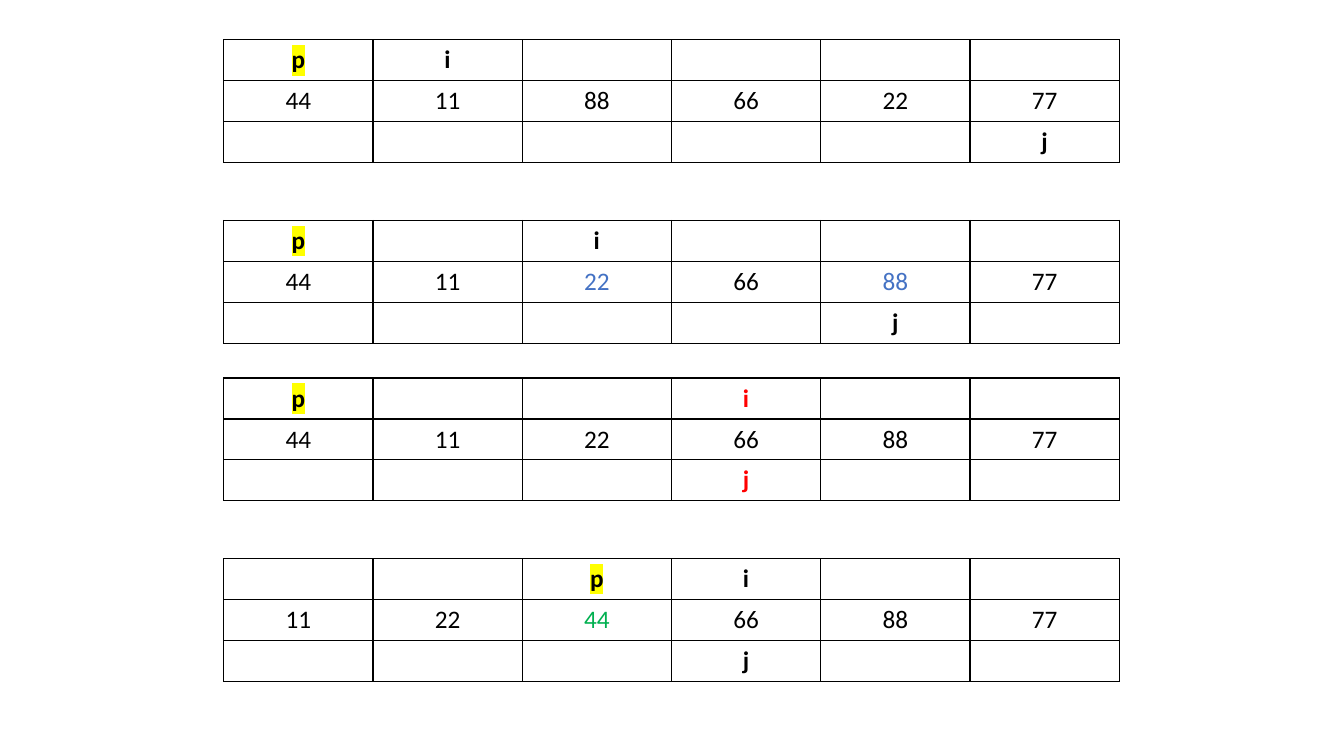
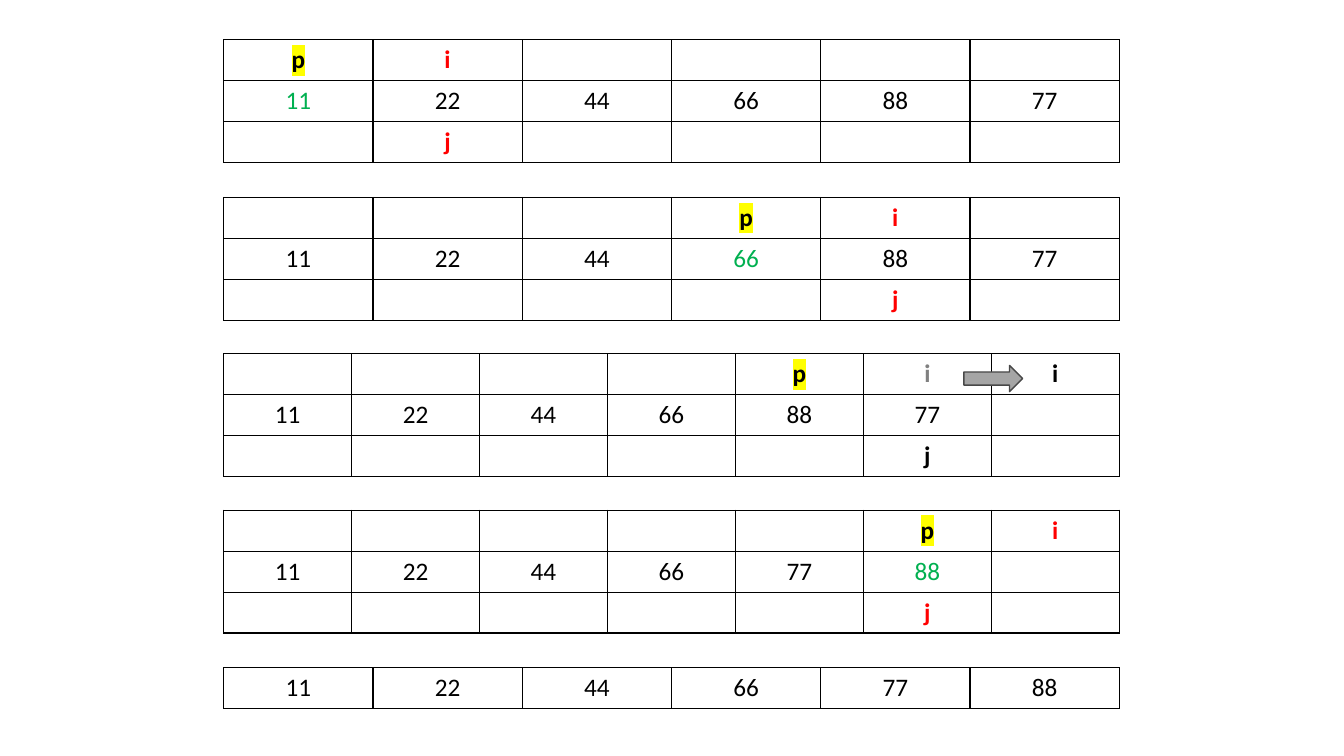
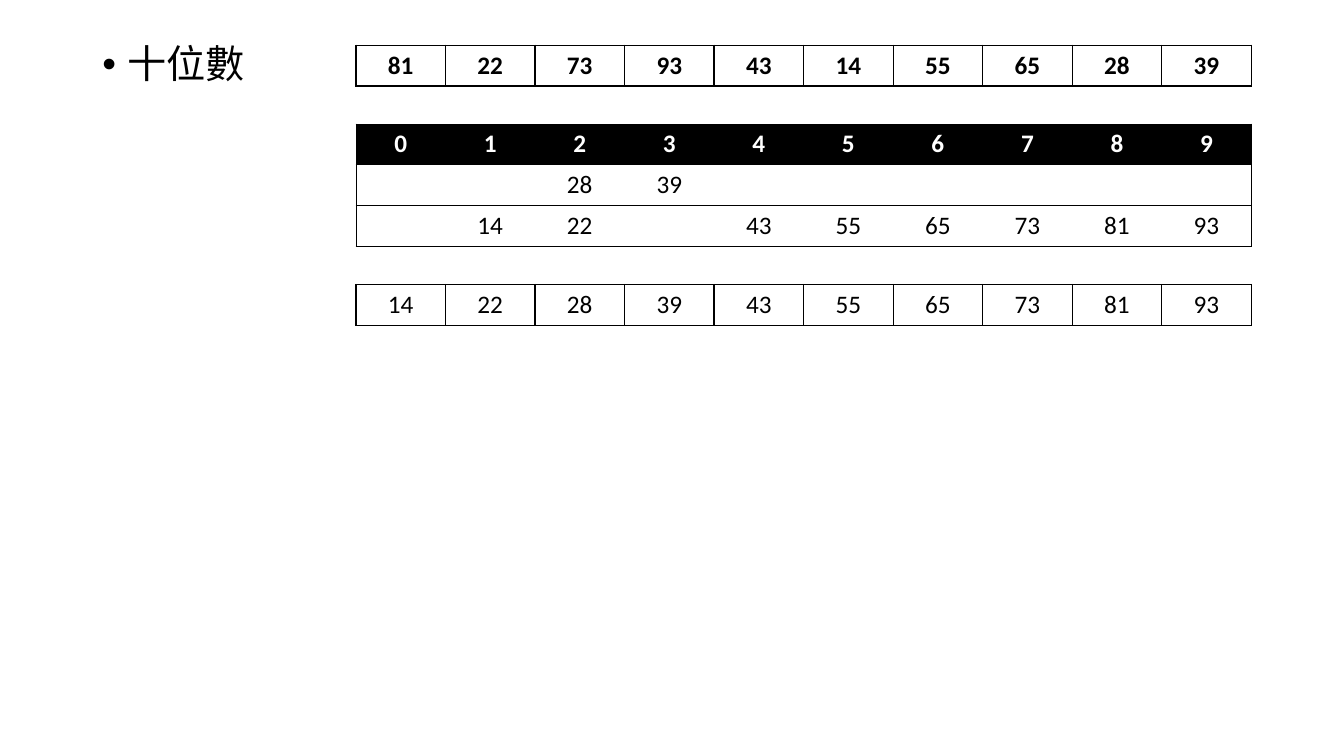
from dataclasses import dataclass, field
from typing import Optional

from lxml import etree
from pptx import Presentation
from pptx import util as u
from pptx.dml.color import RGBColor
from pptx.enum import shapes, text
from pptx.oxml import ns


def px(n: float) -> int:
    """Convert pixels (96 to the inch) to EMU."""
    return round(n * 9525)


@dataclass(frozen=True)
class Theme:
    font: str = "Calibri"
    body_pt: int = 28
    cell_pt: int = 18
    black: str = "000000"
    white: str = "FFFFFF"
    swapped: str = "4472C4"
    placed: str = "00B050"
    met: str = "FF0000"
    faded: str = "808080"
    highlight: str = "FFFF00"
    arrow_fill: str = "A5A5A5"
    arrow_line: str = "484848"


THEME = Theme()
SLIDE_W, SLIDE_H = 1280, 720
TABLE_W, ROW_H = 853, 39
TRACE_LEFT, RADIX_LEFT = 213, 339


@dataclass(frozen=True)
class Cell:
    text: str = ""
    color: str = THEME.black
    bold: bool = False
    highlight: Optional[str] = None
    fill: Optional[str] = None


@dataclass(frozen=True)
class Step:
    """One state of quicksort: array, pivot column and the two scan columns."""
    values: str
    pivot: int
    i: int
    j: int
    mark: str = THEME.black
    tints: dict[int, str] = field(default_factory=dict)
    columns: int = 6
    old_i: Optional[int] = None


Grid = list[list[Cell]]


def number_row(values: str, bold: bool = False) -> list[Cell]:
    return [Cell(v, bold=bold) for v in values.split()]


def step_grid(step: Step) -> Grid:
    """Build the marker row, the array row and the lower marker row."""
    top, middle, bottom = ([Cell()] * step.columns for _ in range(3))
    top[step.pivot] = Cell("p", bold=True, highlight=THEME.highlight)
    top[step.i] = Cell("i", step.mark, bold=True)
    if step.old_i is not None:
        top[step.old_i] = Cell("i", THEME.faded, bold=True)
    for col, value in enumerate(step.values.split()):
        middle[col] = Cell(value, step.tints.get(col, THEME.black))
    bottom[step.j] = Cell("j", step.mark, bold=True)
    return [top, middle, bottom]


def add_border(tc_pr, side: str, width_pt: float, visible: bool) -> None:
    ln = etree.SubElement(tc_pr, ns.qn(f"a:ln{side}"), w=str(u.Pt(width_pt)))
    if visible:
        fill = etree.SubElement(ln, ns.qn("a:solidFill"))
        etree.SubElement(fill, ns.qn("a:srgbClr"), val=THEME.black)
    else:
        etree.SubElement(ln, ns.qn("a:noFill"))


def write_cell(target, cell: Cell) -> None:
    target.vertical_anchor = text.MSO_ANCHOR.MIDDLE
    if cell.fill:
        target.fill.solid()
        target.fill.fore_color.rgb = RGBColor.from_string(cell.fill)
    else:
        target.fill.background()
    p = target.text_frame.paragraphs[0]
    p.alignment = text.PP_ALIGN.CENTER
    p.font.size = u.Pt(THEME.cell_pt)
    p.font.name = THEME.font
    if not cell.text:
        return
    r = p.add_run()
    r.text = cell.text
    r.font.bold = cell.bold
    r.font.color.rgb = RGBColor.from_string(cell.color)
    if cell.highlight:
        mark = etree.SubElement(r.font._element, ns.qn("a:highlight"))
        etree.SubElement(mark, ns.qn("a:srgbClr"), val=cell.highlight)


def add_grid(slide, left: int, top: int, grid: Grid,
             line_pt: float = 1, inner_verticals: bool = True) -> None:
    rows, cols = len(grid), len(grid[0])
    table = slide.shapes.add_table(rows, cols, px(left), px(top),
                                   px(TABLE_W), px(rows * ROW_H)).table
    table.first_row = table.horz_banding = False
    for column in table.columns:
        column.width = px(TABLE_W / cols)
    for row in table.rows:
        row.height = px(ROW_H)
    for y, line in enumerate(grid):
        for x, cell in enumerate(line):
            target = table.cell(y, x)
            tc_pr = target._tc.get_or_add_tcPr()
            add_border(tc_pr, "L", line_pt, inner_verticals or x == 0)
            add_border(tc_pr, "R", line_pt, inner_verticals or x == cols - 1)
            add_border(tc_pr, "T", line_pt, True)
            add_border(tc_pr, "B", line_pt, True)
            write_cell(target, cell)


def add_move_arrow(slide) -> None:
    sp = slide.shapes.add_shape(shapes.MSO_SHAPE.RIGHT_ARROW,
                                px(918), px(348), px(56), px(25))
    sp.shadow.inherit = False
    sp.fill.solid()
    sp.fill.fore_color.rgb = RGBColor.from_string(THEME.arrow_fill)
    sp.line.color.rgb = RGBColor.from_string(THEME.arrow_line)
    sp.line.width = u.Pt(1)


def add_bullet(slide, words: str) -> None:
    title, body = slide.shapes.title, slide.placeholders[1]
    title._element.getparent().remove(title._element)
    body.left, body.top = px(88), px(38)
    body.width, body.height = px(1104), px(610)
    p = body.text_frame.paragraphs[0]
    p.line_spacing = 0.9
    p.space_before = u.Pt(10)
    p_pr = p._p.get_or_add_pPr()
    p_pr.set("marL", str(px(24)))
    p_pr.set("indent", str(-px(24)))
    r = p.add_run()
    r.text = words
    r.font.size = u.Pt(THEME.body_pt)
    r.font.name = THEME.font
    r.font.color.rgb = RGBColor.from_string(THEME.black)


FIRST_PASS = {
    38: Step("44 11 88 66 22 77", pivot=0, i=1, j=5),
    210: Step("44 11 22 66 88 77", pivot=0, i=2, j=4,
              tints={2: THEME.swapped, 4: THEME.swapped}),
    360: Step("44 11 22 66 88 77", pivot=0, i=3, j=3, mark=THEME.met),
    532: Step("11 22 44 66 88 77", pivot=2, i=3, j=3,
              tints={2: THEME.placed}),
}
LATER_PASSES = [
    Step("11 22 44 66 88 77", pivot=0, i=1, j=1, mark=THEME.met,
         tints={0: THEME.placed}),
    Step("11 22 44 66 88 77", pivot=3, i=4, j=4, mark=THEME.met,
         tints={3: THEME.placed}),
    Step("11 22 44 66 88 77", pivot=4, i=6, j=5, columns=7, old_i=5),
    Step("11 22 44 66 77 88", pivot=5, i=6, j=5, mark=THEME.met,
         tints={5: THEME.placed}, columns=7),
]
BUCKETS = [{2: "28", 3: "39"},
           {1: "14", 2: "22", 4: "43", 5: "55", 6: "65",
            7: "73", 8: "81", 9: "93"}]


def build_first_pass(slide) -> None:
    for top, step in FIRST_PASS.items():
        add_grid(slide, TRACE_LEFT, top, step_grid(step))


def build_later_passes(slide) -> None:
    grids = [step_grid(step) for step in LATER_PASSES]
    grids.append([number_row("11 22 44 66 77 88")])
    first, last = 38, 636
    pitch = (last - first) / (len(grids) - 1)
    for n, grid in enumerate(grids):
        add_grid(slide, TRACE_LEFT, round(first + n * pitch), grid)
    add_move_arrow(slide)


def build_radix(slide) -> None:
    add_bullet(slide, "十位數")
    header = [Cell(str(d), THEME.white, bold=True, fill=THEME.black)
              for d in range(10)]
    buckets = [[Cell(row.get(d, "")) for d in range(10)] for row in BUCKETS]
    add_grid(slide, RADIX_LEFT, 43,
             [number_row("81 22 73 93 43 14 55 65 28 39", bold=True)])
    add_grid(slide, RADIX_LEFT, 118, [header, *buckets],
             line_pt=0.5, inner_verticals=False)
    add_grid(slide, RADIX_LEFT, 271,
             [number_row("14 22 28 39 43 55 65 73 81 93")])


def main() -> None:
    prs = Presentation()
    prs.slide_width, prs.slide_height = px(SLIDE_W), px(SLIDE_H)
    content, blank = prs.slide_layouts[1], prs.slide_layouts[6]
    build_first_pass(prs.slides.add_slide(blank))
    build_later_passes(prs.slides.add_slide(blank))
    build_radix(prs.slides.add_slide(content))
    prs.save("out.pptx")


if __name__ == "__main__":
    main()
